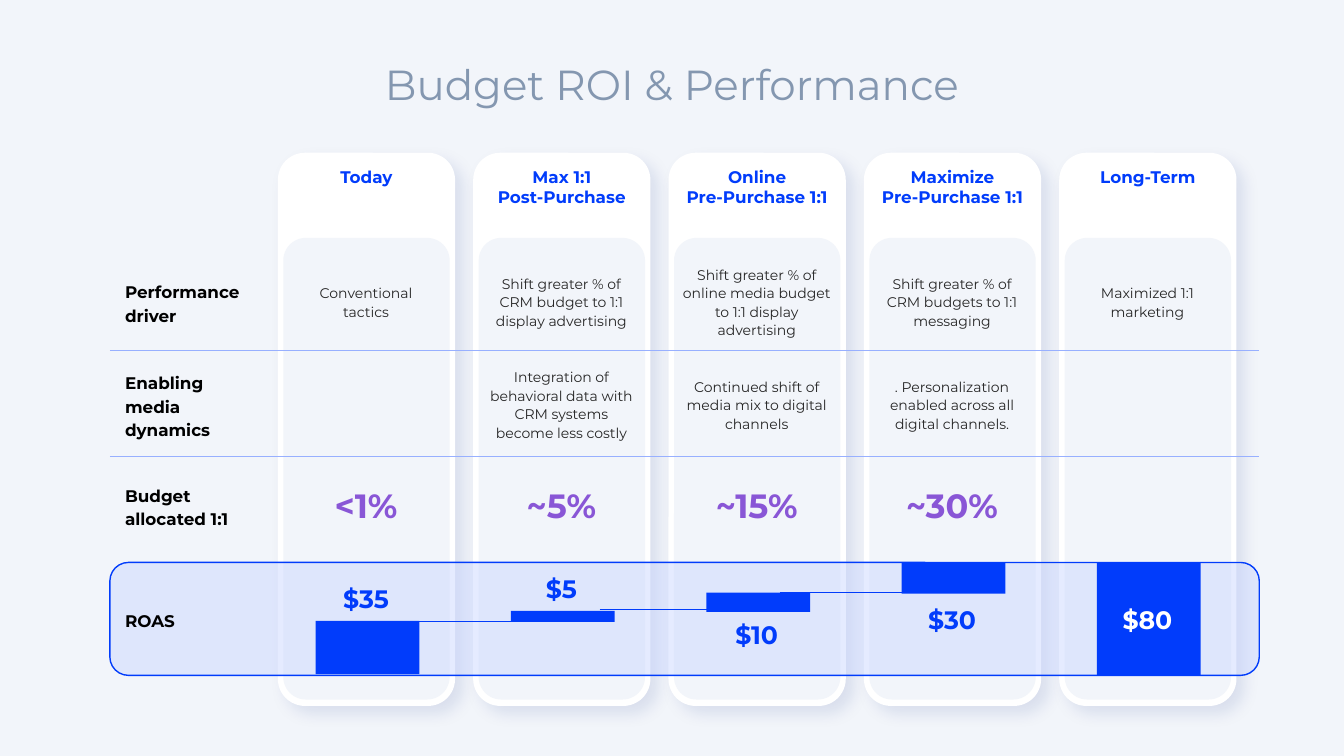
from lxml.etree import SubElement
from pptx import Presentation
from pptx.dml.color import RGBColor
from pptx.enum.shapes import MSO_CONNECTOR as LINE, MSO_SHAPE as SHAPE
from pptx.enum.text import MSO_ANCHOR as ANCHOR, PP_ALIGN as ALIGN
from pptx.oxml.ns import qn
from pptx.util import Inches, Pt

FONT = "Montserrat"
PAPER = RGBColor(0xF2, 0xF5, 0xFA)
WHITE = RGBColor(0xFF, 0xFF, 0xFF)
BLACK = RGBColor(0x00, 0x00, 0x00)
INK = RGBColor(0x26, 0x26, 0x26)
BLUE = RGBColor(0x01, 0x3C, 0xFB)
RULE = RGBColor(0x98, 0xB0, 0xFF)
BAND = RGBColor(0xCC, 0xD8, 0xFF)
PURPLE = RGBColor(0x89, 0x56, 0xD6)
SLATE = RGBColor(0x84, 0x97, 0xB0)

SLIDE_W, SLIDE_H = 13.33, 7.5
LEFT, WIDTH = 1.09, 11.4
CARD_X, CARD_Y, CARD_W, CARD_H = 2.77, 1.53, 1.73, 5.46
PITCH = 7.75 / 4
CARDS = [(CARD_X + i * PITCH, CARD_Y, CARD_W, CARD_H) for i in range(5)]
DRIVER_Y, MEDIA_Y, BUDGET_Y, ROAS_Y = 2.99, 4.01, 5.01, 6.14
RULES = (3.48, 4.53)
BAND_Y, BAND_H = 5.58, 1.12
BAR_INSET, BAR_W = 0.36, 1.03

HEADS = ["Today", "Max 1:1\nPost-Purchase", "Online\nPre-Purchase 1:1",
         "Maximize\nPre-Purchase 1:1", "Long-Term"]
DRIVERS = ["Conventional\ntactics",
           "Shift greater % of CRM budget to 1:1 display advertising",
           "Shift greater % of online media budget to 1:1 display advertising",
           "Shift greater % of CRM budgets to 1:1 messaging",
           "Maximized 1:1 marketing"]
MEDIA = ["",
         "Integration of behavioral data with CRM systems become less costly",
         "Continued shift of media mix to digital channels",
         ". Personalization enabled across all digital channels.", ""]
BUDGETS = ["<1%", "~5%", "~15%", "~30%", ""]
ROW_LABELS = [("Performance driver", DRIVER_Y), ("Enabling media dynamics", MEDIA_Y),
              ("Budget allocated 1:1", BUDGET_Y), ("ROAS", ROAS_Y)]
# label, label centre, bar top, bar height, label colour
BARS = [("$35", 5.93, 6.16, 0.53, BLUE), ("$5", 5.83, 6.06, 0.11, BLUE),
        ("$10", 6.29, 5.88, 0.19, BLUE), ("$30", 6.14, 5.58, 0.31, BLUE),
        ("$80", 6.14, 5.58, 1.12, WHITE)]
STEPS = [(1.06, 6.16), (1.24, 6.05), (1.09, 5.88)]


def add_box(slide, kind, box, fill, line=None, weight=0, radius=None):
    """Add a flat filled shape with an optional outline and corner radius."""
    sp = slide.shapes.add_shape(kind, *map(Inches, box))
    sp.shadow.inherit = False
    sp.fill.solid()
    sp.fill.fore_color.rgb = fill
    if line is None:
        sp.line.fill.background()
    else:
        sp.line.color.rgb = line
        sp.line.width = Pt(weight)
    if radius is not None:
        sp.adjustments[0] = radius
    return sp


def write(tf, text, size, color, bold=False, align=ALIGN.CENTER, spacing=None,
          anchor=ANCHOR.MIDDLE, insets=(0, 0.05, 0, 0.05)):
    """Fill a text frame with one evenly styled paragraph."""
    tf.word_wrap = True
    tf.vertical_anchor = anchor
    tf.margin_left, tf.margin_top, tf.margin_right, tf.margin_bottom = map(Inches, insets)
    p = tf.paragraphs[0]
    p.text = text
    p.alignment = align
    p.line_spacing = spacing
    p.font.name, p.font.size, p.font.bold = FONT, Pt(size), bold
    p.font.color.rgb = color


def add_text(slide, box, *args, **style):
    """Add a text box holding one styled paragraph."""
    tf = slide.shapes.add_textbox(*map(Inches, box)).text_frame
    write(tf, *args, **style)
    return tf


def add_line(slide, x, y, length, color):
    """Add a thin horizontal line."""
    ends = map(Inches, (x, y, x + length, y))
    cx = slide.shapes.add_connector(LINE.STRAIGHT, *ends)
    cx.line.color.rgb = color
    cx.line.width = Pt(0.5)
    SubElement(cx._element.spPr, qn("a:effectLst"))


def add_shadow(sp):
    """Give a shape a soft shadow towards the lower right."""
    effects = sp._element.spPr.find(qn("a:effectLst"))
    shadow = SubElement(effects, qn("a:outerShdw"), blurRad=str(Pt(11)), dist=str(Pt(7)),
                        dir="2700000", algn="tl", rotWithShape="0")
    color = SubElement(shadow, qn("a:srgbClr"), val="001E7E")
    SubElement(color, qn("a:alpha"), val="10000")


def add_card(slide, box, head):
    """Draw a column card with its heading and tinted panel."""
    x, y, w, h = box
    card = add_box(slide, SHAPE.ROUNDED_RECTANGLE, box, WHITE, WHITE, 2, 0.147)
    add_shadow(card)
    write(card.text_frame, head, 12, BLUE, True, anchor=ANCHOR.TOP,
          insets=(0.04, 0.05, 0.04, 0.04))
    panel = (x + 0.04, y + 0.83, w - 0.08, h - 0.88)
    add_box(slide, SHAPE.ROUNDED_RECTANGLE, panel, PAPER, radius=0.136)


def add_rows(slide, x, w):
    """Draw the highlighted band, the row rules and the row labels."""
    band = add_box(slide, SHAPE.ROUNDED_RECTANGLE, (x, BAND_Y, w, BAND_H), BAND, BLUE, 1, 0.164)
    color = band._element.spPr.find(qn("a:solidFill")).find(qn("a:srgbClr"))
    SubElement(color, qn("a:alpha"), val="50000")
    for y in RULES:
        add_line(slide, x, y, w, RULE)
    for label, mid in ROW_LABELS:
        add_text(slide, (x + 0.15, mid - 0.3, 1.35, 0.61), label, 12, BLACK, True,
                 align=ALIGN.LEFT, spacing=Pt(16.8), insets=(0, 0.05, 0.1, 0.05))


def add_cells(slide, box, driver, media, budget):
    """Write the text cells of one column."""
    x, _, w, _ = box
    for text, mid in ((driver, DRIVER_Y), (media, MEDIA_Y)):
        if text:
            add_text(slide, (x + 0.12, mid - 0.41, w - 0.25, 0.82), text, 10, INK, spacing=1.1)
    if budget:
        add_text(slide, (x + 0.25, BUDGET_Y - 0.26, w - 0.51, 0.53), budget, 24, PURPLE, True)


def add_waterfall(slide, boxes):
    """Draw the bars, the steps that join them and their values."""
    for (x, *_), (_, _, top, height, _) in zip(boxes, BARS):
        add_box(slide, SHAPE.RECTANGLE, (x + BAR_INSET, top, BAR_W, height), BLUE)
    for (x, *_), (offset, y) in zip(boxes, STEPS):
        add_line(slide, x + offset, y, 1.4, BLUE)
    for (x, _, w, _), (value, mid, _, _, color) in zip(boxes, BARS):
        add_text(slide, (x + 0.25, mid - 0.16, w - 0.51, 0.33), value, 18, color, True)


def build_slide(prs):
    """Build the budget and performance slide."""
    slide = prs.slides.add_slide(prs.slide_layouts[6])
    slide.background.fill.solid()
    slide.background.fill.fore_color.rgb = PAPER
    for box, head in zip(CARDS, HEADS):
        add_card(slide, box, head)
    title = add_text(slide, (3.68, 0.53, 5.97, 0.61), "Budget ROI & Performance", 30, SLATE,
                     anchor=ANCHOR.TOP, insets=(0.1, 0.05, 0.1, 0.05))
    title.word_wrap = False
    add_rows(slide, LEFT, WIDTH)
    for column in zip(CARDS, DRIVERS, MEDIA, BUDGETS):
        add_cells(slide, *column)
    add_waterfall(slide, CARDS)


def main():
    """Create the presentation and save it."""
    prs = Presentation()
    prs.slide_width, prs.slide_height = Inches(SLIDE_W), Inches(SLIDE_H)
    build_slide(prs)
    prs.save("out.pptx")


if __name__ == "__main__":
    main()
